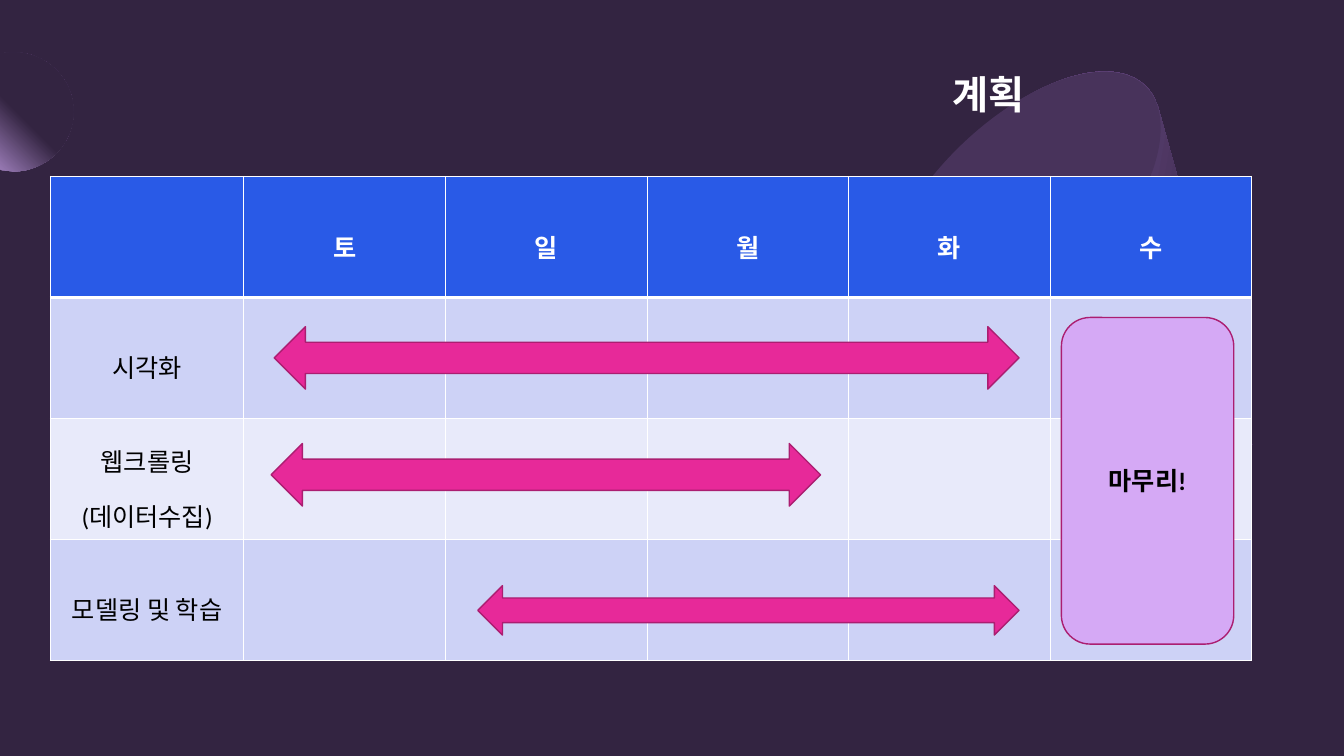
"""Build the weekly plan slide with its schedule table and span arrows."""
import pptx
import pptx.util
import pptx.oxml
import pptx.oxml.ns
import pptx.dml.color
import pptx.enum.shapes
import pptx.enum.text

RGB = pptx.dml.color.RGBColor
SHAPE = pptx.enum.shapes.MSO_SHAPE
ALIGN = pptx.enum.text.PP_ALIGN
MIDDLE = pptx.enum.text.MSO_ANCHOR.MIDDLE
PX = 9144
FONT = "Calibri"
DRAWING = 'xmlns:a="http://schemas.openxmlformats.org/drawingml/2006/main"'

NIGHT = RGB(0x33, 0x24, 0x41)
PLUM = RGB(0x48, 0x33, 0x5B)
VIOLET = RGB(0x67, 0x48, 0x83)
LILAC = RGB(0x9A, 0x7B, 0xB6)
ORCHID = RGB(0xD5, 0xA9, 0xF5)
PINK = RGB(0xE7, 0x29, 0x99)
BERRY = RGB(0xAB, 0x1E, 0x71)
BLUE = RGB(0x29, 0x5A, 0xE7)
BAND_DARK = RGB(0xCD, 0xD2, 0xF6)
BAND_LIGHT = RGB(0xE8, 0xEA, 0xFA)
WHITE = RGB(0xFF, 0xFF, 0xFF)
BLACK = RGB(0, 0, 0)


def add_curved_shape(shapes, start, segments, stops, direction):
    """Draw a closed outline of lines and cubic curves with a gradient fill."""
    builder = shapes.build_freeform(*start, scale=PX)
    builder.add_line_segments([point for segment in segments for point in segment], close=True)
    shape = builder.convert_to_shape()
    shape.shadow.inherit = False
    shape.line.fill.background()
    shape.fill.gradient()
    lines = iter(shape._element.findall(".//" + pptx.oxml.ns.qn("a:lnTo")))
    for segment in segments:
        first, *others = [next(lines) for point in segment]
        if others:
            curve = pptx.oxml.parse_xml(f"<a:cubicBezTo {DRAWING}/>")
            first.addprevious(curve)
            for line in (first, *others):
                curve.append(line[0])
                line.getparent().remove(line)
    gradient = shape._element.spPr.find(pptx.oxml.ns.qn("a:gradFill"))
    listing = "".join(
        f'<a:gs pos="{position * 1000}"><a:srgbClr val="{color}"/></a:gs>'
        for position, color in stops)
    gradient.getparent().replace(gradient, pptx.oxml.parse_xml(
        f'<a:gradFill {DRAWING} rotWithShape="0"><a:gsLst>{listing}</a:gsLst>'
        f'{direction}</a:gradFill>'))
    return shape


def style_text(frame, size, color, bold, align=ALIGN.CENTER, spacing=None):
    """Give every paragraph of a text frame one look."""
    for para in frame.paragraphs:
        para.alignment = align
        para.line_spacing = spacing
        for span in para.runs:
            span.font.name = FONT
            span.font.size = pptx.util.Pt(size)
            span.font.bold = bold
            span.font.color.rgb = color


deck = pptx.Presentation()
deck.slide_width, deck.slide_height = 4000 * PX // 3, 750 * PX
page = deck.slides.add_slide(deck.slide_layouts[6])
page.background.fill.solid()
page.background.fill.fore_color.rgb = NIGHT

backdrop = page.shapes.add_shape(SHAPE.RECTANGLE, 0, 0, deck.slide_width, deck.slide_height)
backdrop.shadow.inherit = False
backdrop.fill.solid()
backdrop.fill.fore_color.rgb = NIGHT
backdrop.line.fill.background()

add_curved_shape(
    page.shapes, (14, 52),
    [((46, 52), (73, 78), (73, 111)), ((73, 143), (46, 170), (14, 170)),
     ((10, 170), (6, 169), (2, 169)), ((0, 168),), ((0, 53),), ((2, 53),),
     ((6, 52), (10, 52), (14, 52))],
    [(60, NIGHT), (100, LILAC)],
    '<a:path path="circle"><a:fillToRect l="100000" b="100000"/></a:path>')

cone = page.shapes.add_group_shape()
cone_side = add_curved_shape(
    cone.shapes, (1096, 88),
    [((1268, 393),), ((1269, 396),), ((1272, 402), (1273, 408), (1273, 414)),
     ((1273, 463), (1194, 502), (1096, 502)), ((998, 502), (919, 463), (919, 414)),
     ((919, 408), (920, 402), (923, 396)), ((924, 393),)],
    [(30, PLUM), (40, VIOLET), (60, PLUM), (100, NIGHT)],
    '<a:lin ang="600000" scaled="0"/>')
cone_side.rotation = 135
cone_base = cone.shapes.add_shape(SHAPE.OVAL, 923 * PX, 34 * PX, 177 * PX, 354 * PX)
cone_base.rotation = 225
cone_base.shadow.inherit = False
cone_base.fill.solid()
cone_base.fill.fore_color.rgb = PLUM
cone_base.line.fill.background()

title = page.shapes.add_textbox(935 * PX, 65 * PX, 386 * PX, 57 * PX)
title.text_frame.word_wrap = True
title.text_frame.auto_size = pptx.enum.text.MSO_AUTO_SIZE.SHAPE_TO_FIT_TEXT
title.text_frame.text = "계획"
style_text(title.text_frame, 28, WHITE, True, ALIGN.LEFT)

rows = [
    ["", "토", "일", "월", "화", "수"],
    ["시각화"],
    ["웹크롤링\n(데이터수집)"],
    ["모델링 및 학습"],
]
row_fills = [BLUE, BAND_DARK, BAND_LIGHT, BAND_DARK]
schedule = page.shapes.add_table(4, 6, 50 * PX, 175 * PX, 1192 * PX, 480 * PX).table
for index, column in enumerate(schedule.columns):
    column.width = (200 if index else 192) * PX
for index, labels in enumerate(rows):
    schedule.rows[index].height = 120 * PX
    for place, cell in enumerate(schedule.rows[index].cells):
        cell.fill.solid()
        cell.fill.fore_color.rgb = row_fills[index]
        cell.vertical_anchor = MIDDLE
        if place < len(labels) and labels[place]:
            cell.text_frame.text = labels[place]
            header = index == 0
            style_text(cell.text_frame, 18, WHITE if header else BLACK, header, spacing=1.5)
        for order, side in enumerate("LRTB"):
            thick = (index, side) in ((0, "B"), (1, "T"))
            cell._tc.get_or_add_tcPr().insert(order, pptx.oxml.parse_xml(
                f'<a:ln{side} {DRAWING} w="{pptx.util.Pt(3 if thick else 1)}">'
                f'<a:solidFill><a:srgbClr val="{WHITE}"/></a:solidFill></a:ln{side}>'))

marks = [
    (SHAPE.LEFT_RIGHT_ARROW, 272, 324, 739, 62, PINK, ""),
    (SHAPE.LEFT_RIGHT_ARROW, 269, 440, 545, 62, PINK, ""),
    (SHAPE.LEFT_RIGHT_ARROW, 474, 581, 537, 49, PINK, ""),
    (SHAPE.ROUNDED_RECTANGLE, 1053, 315, 171, 324, ORCHID, "마무리!"),
]
for kind, left, top, width, height, color, label in marks:
    mark = page.shapes.add_shape(kind, left * PX, top * PX, width * PX, height * PX)
    mark.shadow.inherit = False
    mark.fill.solid()
    mark.fill.fore_color.rgb = color
    mark.line.color.rgb = BERRY
    mark.line.width = pptx.util.Pt(1)
    if label:
        mark.text_frame.text = label
        mark.text_frame.vertical_anchor = MIDDLE
        style_text(mark.text_frame, 18, BLACK, True)

deck.save("out.pptx")
